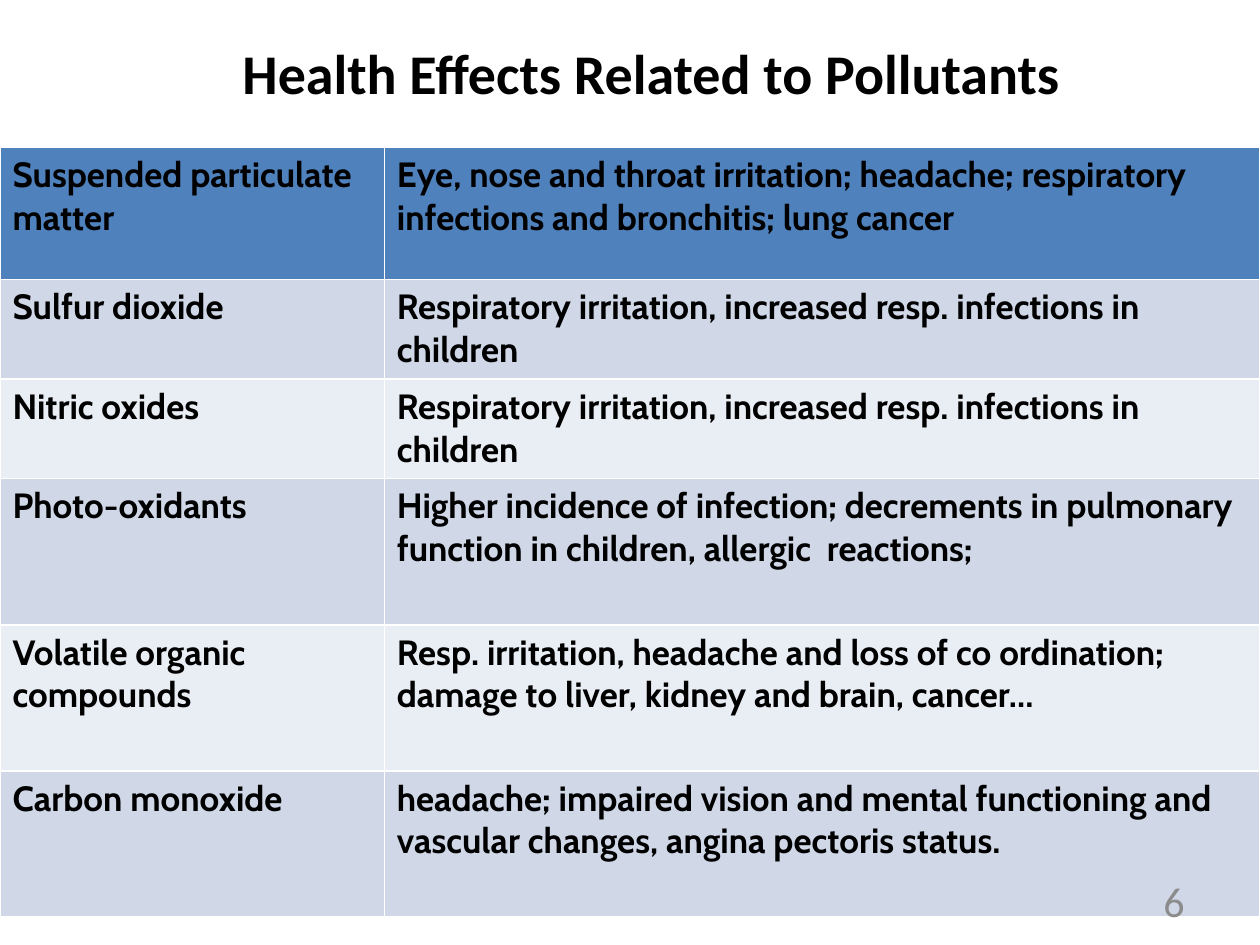
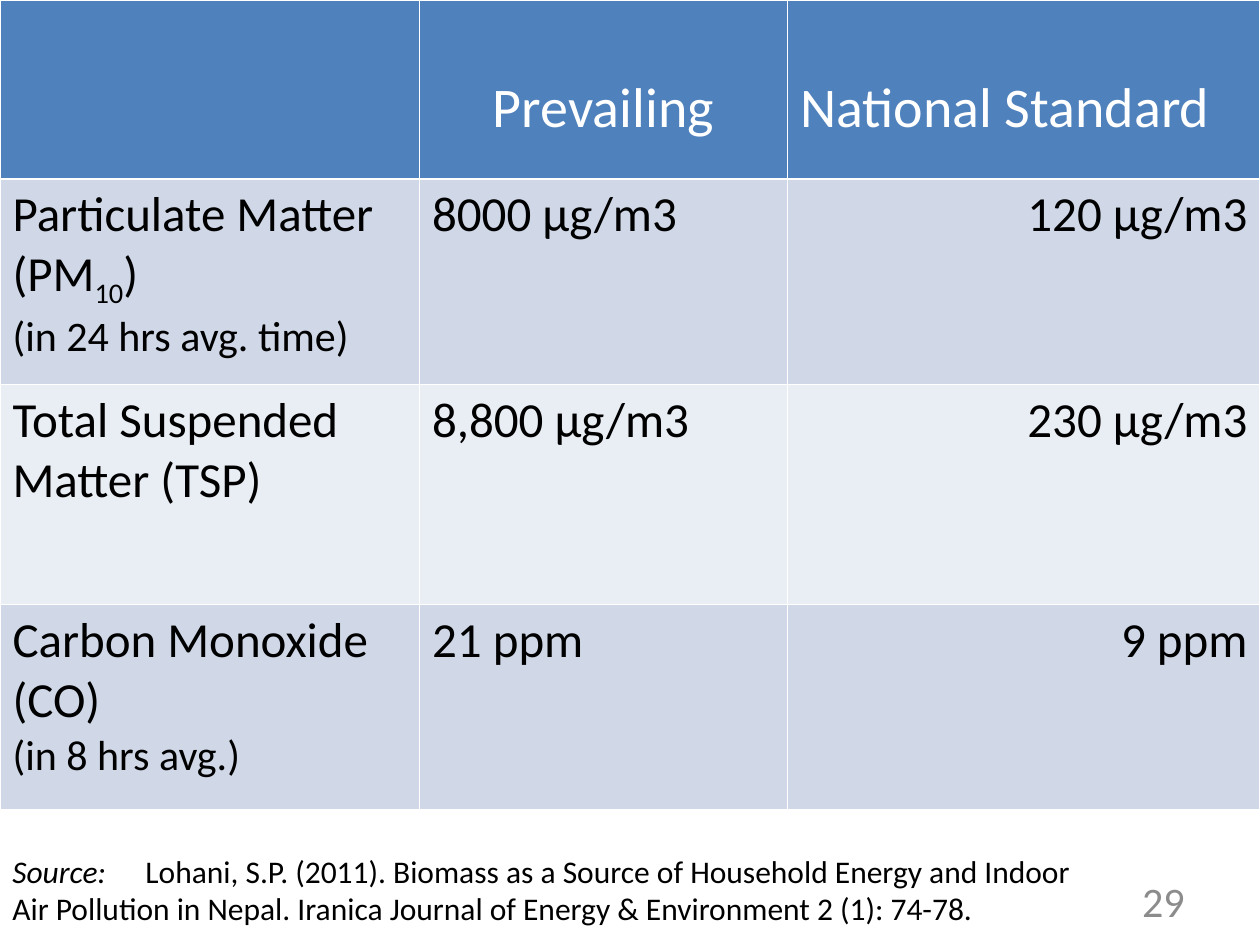
from pptx import Presentation
from pptx.dml.color import RGBColor
from pptx.enum.text import MSO_ANCHOR, PP_ALIGN
from pptx.util import Inches, Pt

# Content
TITLE = "Health Effects Related to Pollutants"
RESPIRATORY = "Respiratory irritation, increased resp. infections in children"
EFFECTS = [
    ("Suspended particulate matter",
     "Eye, nose and throat irritation; headache; respiratory infections and bronchitis; lung cancer"),
    ("Sulfur dioxide", RESPIRATORY),
    ("Nitric oxides", RESPIRATORY),
    ("Photo-oxidants",
     "Higher incidence of infection; decrements in pulmonary function in children, allergic  reactions;"),
    ("Volatile organic compounds",
     "Resp. irritation, headache and loss of co ordination; damage to liver, kidney and brain, cancer…"),
    ("Carbon monoxide",
     "headache; impaired vision and mental functioning and vascular changes, angina pectoris status."),
]
# A second line in a cell is a remark; text between underscores is a subscript
LEVELS = [
    ("", "Prevailing", "National Standard"),
    ("Particulate Matter (PM_10_)\n(in 24 hrs avg. time)", "8000 μg/m3", "120 μg/m3"),
    ("Total Suspended Matter (TSP)", "8,800 μg/m3", "230 μg/m3"),
    ("Carbon Monoxide (CO)\n(in 8 hrs avg.)", "21 ppm", "9 ppm"),
]
CITATION = [
    ("Source:\t ", True),
    ("Lohani, S.P. (2011). Biomass as a Source of Household Energy and Indoor \tAir Pollution in Nepal. "
     "Iranica Journal of Energy & Environment 2 (1): 74-78.", False),
]

# Shared look
HEADER, BANDS = "4F81BD", ("E9EDF4", "D0D8E8")
BLACK, WHITE, GREY = "000000", "FFFFFF", "8C8C8C"
BODY_FONT, TABLE_FONT = "Calibri", "Cabin"
TITLE_ONLY, BLANK = 5, 6
LEFT, CENTER, RIGHT = PP_ALIGN.LEFT, PP_ALIGN.CENTER, PP_ALIGN.RIGHT


def color(value):
    return RGBColor.from_string(value)


def style(paragraph, size, ink=BLACK, face=BODY_FONT, bold=False, align=LEFT):
    paragraph.alignment = align
    font = paragraph.font
    font.size, font.name, font.bold = Pt(size), face, bold
    font.color.rgb = color(ink)


def add_text(slide, left, top, width, height):
    frame = slide.shapes.add_textbox(*map(Inches, (left, top, width, height))).text_frame
    frame.word_wrap = True
    return frame


def add_number(slide, number):
    frame = add_text(slide, 7.17, 6.95, 2.33, 0.4)
    frame.vertical_anchor = MSO_ANCHOR.MIDDLE
    frame.text = str(number)
    style(frame.paragraphs[0], 24, GREY, align=RIGHT)


def add_grid(slide, top, widths, heights):
    """Add a full-width table with a header row and banded rows."""
    grid = slide.shapes.add_table(len(heights), len(widths), 0, Inches(top),
                                  Inches(sum(widths)), Inches(sum(heights))).table
    for column, width in zip(grid.columns, widths):
        column.width = Inches(width)
    for r, (row, height) in enumerate(zip(grid.rows, heights)):
        row.height = Inches(height)
        for cell in row.cells:
            cell.fill.solid()
            cell.fill.fore_color.rgb = color(BANDS[r % 2] if r else HEADER)
    return grid


def write_line(paragraph, line):
    for i, piece in enumerate(line.split("_")):
        if piece:
            run = paragraph.add_run()
            run.text = piece
            if i % 2:
                run._r.get_or_add_rPr().set("baseline", "-25000")


def build_effects(prs):
    slide = prs.slides.add_slide(prs.slide_layouts[TITLE_ONLY])
    grid = add_grid(slide, 1.17, (3.05, 6.95), (1.05, 0.79, 0.79, 1.16, 1.16, 1.16))
    for r, texts in enumerate(EFFECTS):
        for c, text in enumerate(texts):
            cell = grid.cell(r, c)
            cell.text = text
            style(cell.text_frame.paragraphs[0], 20, face=TABLE_FONT, bold=True)

    heading = slide.shapes.title
    heading.left, heading.top, heading.width, heading.height = map(Inches, (1.67, 0.25, 7, 0.64))
    heading.text = TITLE
    style(heading.text_frame.paragraphs[0], 32, bold=True, align=CENTER)
    add_number(slide, 6)


def build_levels(prs):
    slide = prs.slides.add_slide(prs.slide_layouts[BLANK])
    grid = add_grid(slide, 0, (3.33, 2.92, 3.75), (1.42, 1.63, 1.75, 1.63))

    # Header labels sit low in a tall row
    for c, label in enumerate(LEVELS[0]):
        if label:
            cell = grid.cell(0, c)
            cell.margin_top = Inches(0.59)
            cell.text = label
            style(cell.text_frame.paragraphs[0], 32, WHITE, align=(LEFT, CENTER, LEFT)[c])

    # Pollutants and their values
    for r, texts in enumerate(LEVELS[1:], 1):
        for c, text in enumerate(texts):
            frame = grid.cell(r, c).text_frame
            for i, line in enumerate(text.split("\n")):
                paragraph = frame.add_paragraph() if i else frame.paragraphs[0]
                write_line(paragraph, line)
                style(paragraph, 24 if i else 28, align=(LEFT, LEFT, RIGHT)[c])

    # Citation
    citation = add_text(slide, 0, 6.71, 8.96, 0.71).paragraphs[0]
    for text, italic in CITATION:
        run = citation.add_run()
        run.text = text
        run.font.italic = italic
    style(citation, 18)
    add_number(slide, 29)


def main():
    prs = Presentation()
    prs.slide_width, prs.slide_height = Inches(10), Inches(7.5)
    build_effects(prs)
    build_levels(prs)
    prs.save("out.pptx")


if __name__ == "__main__":
    main()
